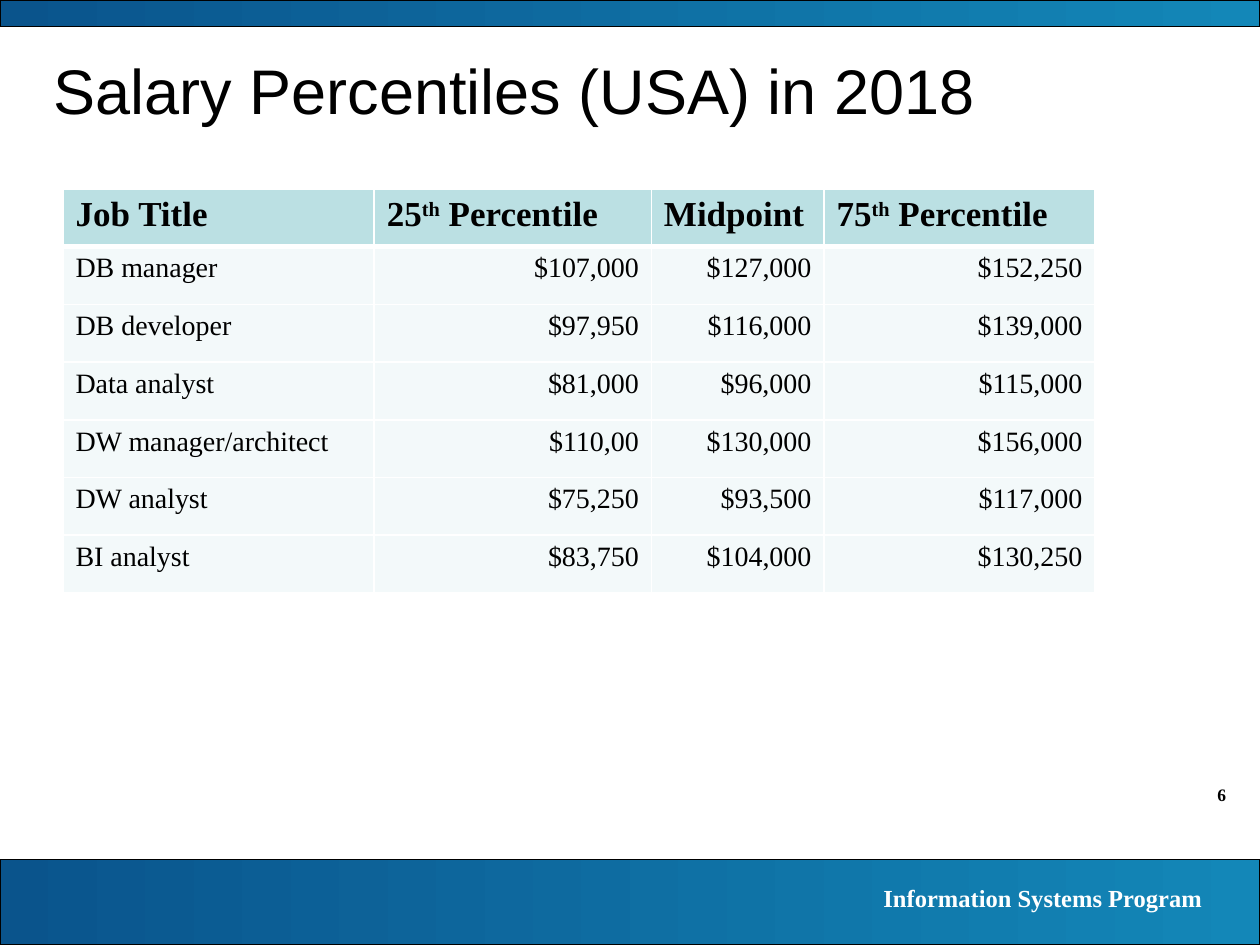
from lxml.etree import SubElement
from pptx import Presentation
from pptx.dml.color import RGBColor
from pptx.enum.shapes import MSO_SHAPE
from pptx.enum.text import MSO_ANCHOR, PP_ALIGN
from pptx.oxml.ns import qn
from pptx.util import Inches, Pt

BLACK = RGBColor(0x00, 0x00, 0x00)
WHITE = RGBColor(0xFF, 0xFF, 0xFF)
DEEP_BLUE = RGBColor(0x0A, 0x54, 0x8C)
BRIGHT_BLUE = RGBColor(0x13, 0x87, 0xB8)
HEADER_TEAL = RGBColor(0xBB, 0xE0, 0xE3)
BODY_TINT = RGBColor(0xF3, 0xF9, 0xFA)

SERIF = "Times New Roman"
SANS = "Arial"
COLUMNS, ROWS = 100, 75  # slide grid

HEADERS = [
    ["Job Title"],
    ["25", "th", " Percentile"],
    ["Midpoint"],
    ["75", "th", " Percentile"],
]
SALARIES = [
    ("DB manager", "$107,000", "$127,000", "$152,250"),
    ("DB developer", "$97,950", "$116,000", "$139,000"),
    ("Data analyst", "$81,000", "$96,000", "$115,000"),
    ("DW manager/architect", "$110,00", "$130,000", "$156,000"),
    ("DW analyst", "$75,250", "$93,500", "$117,000"),
    ("BI analyst", "$83,750", "$104,000", "$130,250"),
]
COLUMN_WIDTHS = [24.7, 22, 13.7, 21.5]
ROW_HEIGHT = 4.58


def write(frame, parts, size=16, font=SERIF, color=BLACK, bold=False, align=PP_ALIGN.LEFT):
    """Write one paragraph; a part that reads "th" is raised."""
    para = frame.paragraphs[0]
    para.alignment = align
    for part in parts:
        span = para.add_run()
        span.text = part
        span.font.size, span.font.name, span.font.bold = Pt(size), font, bold
        span.font.color.rgb = color
        if part == "th":
            span.font._element.set("baseline", "30000")


def draw_borders(cell, **widths):
    """Give a cell white borders; widths are points by side: L, R, T, B."""
    properties = cell._tc.get_or_add_tcPr()
    for side in "LRTB":
        line = SubElement(properties, qn(f"a:ln{side}"), w=str(Pt(widths.get(side, 1))))
        SubElement(SubElement(line, qn("a:solidFill")), qn("a:srgbClr"), val=str(WHITE))


class SlideBuilder:
    def __init__(self, deck):
        self.page = deck.slides.add_slide(deck.slide_layouts[6])
        self.column = deck.slide_width / COLUMNS
        self.row = deck.slide_height / ROWS

    def area(self, left, top, width, height):
        return (int(left * self.column), int(top * self.row),
                int(width * self.column), int(height * self.row))

    def band(self, top, height):
        bar = self.page.shapes.add_shape(
            MSO_SHAPE.RECTANGLE, *self.area(0, top, COLUMNS, height))
        bar.shadow.inherit = False
        bar.fill.gradient()
        bar.fill.gradient_angle = 0
        for stop, color, position in zip(
                bar.fill.gradient_stops, (DEEP_BLUE, BRIGHT_BLUE), (0, 1)):
            stop.color.rgb = color
            stop.position = position
        bar.line.color.rgb = BLACK
        bar.line.width = Pt(0.75)

    def text(self, words, left, top, width, height, anchor=MSO_ANCHOR.TOP, **style):
        box = self.page.shapes.add_textbox(*self.area(left, top, width, height))
        box.text_frame.word_wrap = True
        box.text_frame.vertical_anchor = anchor
        write(box.text_frame, [words], **style)

    def salary_table(self, left, top):
        count = len(SALARIES) + 1
        table = self.page.shapes.add_table(
            count, len(HEADERS),
            *self.area(left, top, sum(COLUMN_WIDTHS), count * ROW_HEIGHT)).table
        table.horz_banding = False
        for column, width in zip(table.columns, COLUMN_WIDTHS):
            column.width = int(width * self.column)
        for row in table.rows:
            row.height = int(ROW_HEIGHT * self.row)

        # Header row
        for index, parts in enumerate(HEADERS):
            self.cell(table.cell(0, index), parts, HEADER_TEAL, {"B": 3}, size=20, bold=True)

        # Salary rows
        for number, record in enumerate(SALARIES, 1):
            borders = {"T": 3} if number == 1 else {}
            for index, value in enumerate(record):
                self.cell(table.cell(number, index), [value], BODY_TINT, borders,
                          align=PP_ALIGN.RIGHT if index else PP_ALIGN.LEFT)

    def cell(self, cell, parts, color, borders, **style):
        draw_borders(cell, **borders)
        cell.fill.solid()
        cell.fill.fore_color.rgb = color
        write(cell.text_frame, parts, **style)


def main():
    deck = Presentation()
    deck.slide_width, deck.slide_height = Inches(10), Inches(7.5)
    builder = SlideBuilder(deck)

    # Page frame: number, bands and footer
    builder.text("6", 90, 61.7, 8.3, 2.7, size=10, bold=True, align=PP_ALIGN.RIGHT)
    builder.band(68.2, 6.8)
    builder.band(0, 2.1)
    builder.text("Information Systems Program", 55.5, 69.6, 40.9, 3.4,
                 size=14, color=WHITE, bold=True, align=PP_ALIGN.RIGHT)

    # Title and table
    builder.text("Salary Percentiles (USA) in 2018", 3.3, 3.3, 91.7, 7.5,
                 anchor=MSO_ANCHOR.MIDDLE, size=36, font=SANS)
    builder.salary_table(5, 15)

    deck.save("out.pptx")


if __name__ == "__main__":
    main()
